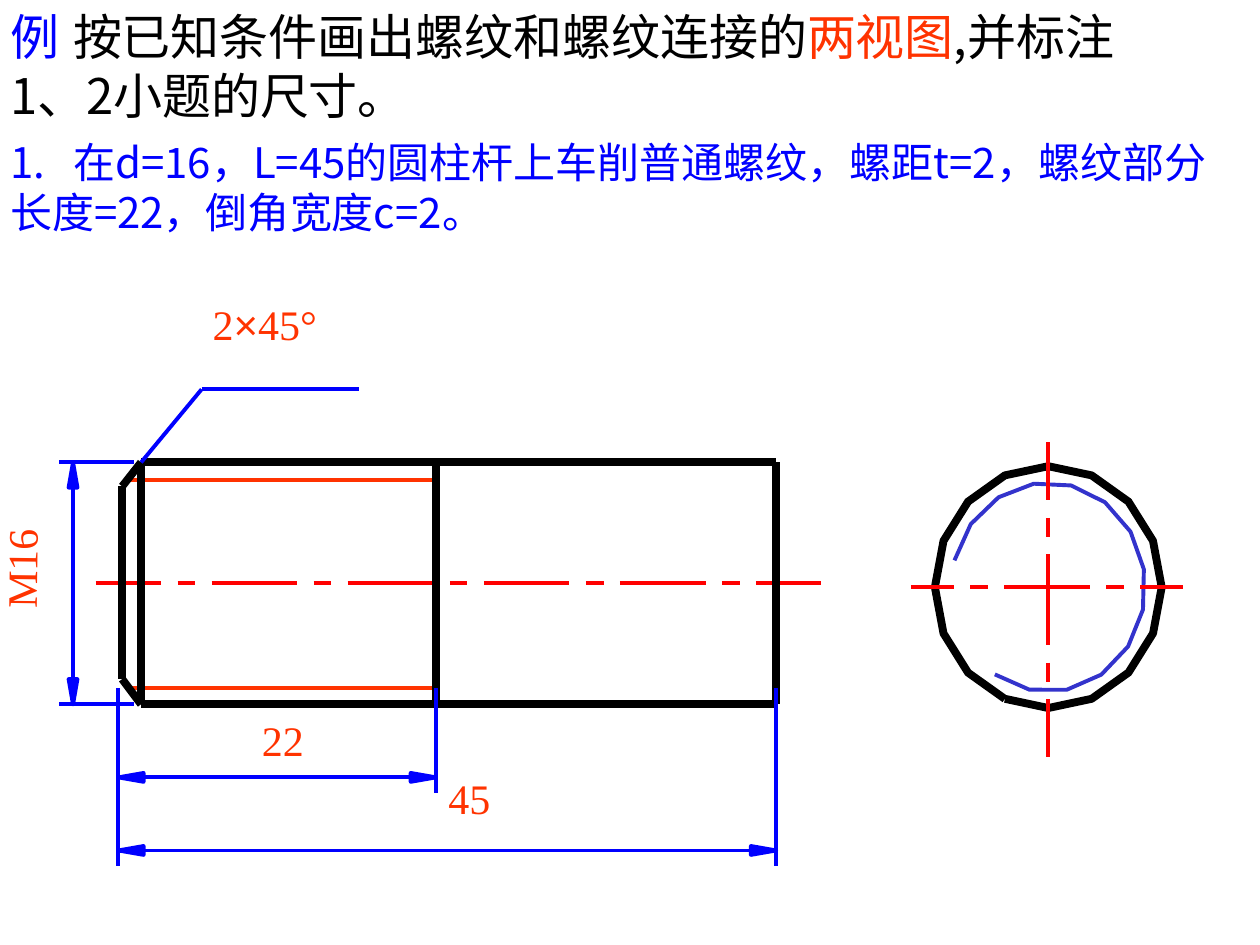
from dataclasses import dataclass
from math import cos, radians, sin
from typing import NamedTuple

from lxml.etree import SubElement
from pptx import Presentation
from pptx.dml.color import RGBColor
from pptx.enum.shapes import MSO_CONNECTOR as Connector
from pptx.enum.text import MSO_ANCHOR as Anchor, MSO_AUTO_SIZE as AutoSize, PP_ALIGN as Align
from pptx.oxml.ns import qn
from pptx.util import Inches, Pt

BLACK = RGBColor(0x00, 0x00, 0x00)
BLUE = RGBColor(0x00, 0x00, 0xFF)
RED = RGBColor(0xFF, 0x00, 0x00)
ORANGE = RGBColor(0xFF, 0x33, 0x00)
INDIGO = RGBColor(0x33, 0x33, 0xCC)
THIN, THICK = 2.25, 4.5
CHINESE, SERIF, SANS = "Noto Sans CJK SC", "Times New Roman", "Arial"

TIP, CHAMFER, THREAD_END, SHAFT_END = 0.97, 1.12, 3.46, 6.16
TOP, BOTTOM = 3.67, 5.59
DIM_LEFT, DIM_SIDE = 0.94, 0.58
HEAD_LENGTH, HEAD_HALF = 0.2, 0.035

Point = tuple[float, float]


class Span(NamedTuple):
    text: str
    color: RGBColor
    font: str = CHINESE


@dataclass
class Stroke:
    start: Point
    end: Point
    color: RGBColor = BLUE
    width: float = THIN


@dataclass
class Arc:
    center: Point
    radii: Point
    first: float
    step: float
    count: int
    color: RGBColor
    width: float

    def points(self) -> list[Point]:
        angles = [radians(self.first + self.step * i) for i in range(self.count)]
        return [(self.center[0] + self.radii[0] * cos(a),
                 self.center[1] - self.radii[1] * sin(a)) for a in angles]


@dataclass
class Label:
    spans: list[Span]
    left: float
    top: float
    width: float
    rotation: float = 0


def apply(target, values: dict) -> None:
    for name, value in values.items():
        setattr(target, name, value)


def draw_stroke(page, stroke: Stroke) -> None:
    ends = [Inches(v) for v in (*stroke.start, *stroke.end)]
    line = page.shapes.add_connector(Connector.STRAIGHT, *ends)
    line.line.color.rgb = stroke.color
    line.line.width = Pt(stroke.width)
    SubElement(line._element.spPr, qn("a:effectLst"))


def draw_outline(page, points: list[Point], color: RGBColor, width: float, solid: bool):
    corners = [(Inches(x), Inches(y)) for x, y in points]
    builder = page.shapes.build_freeform(*corners[0])
    builder.add_line_segments(corners[1:], close=solid)
    outline = builder.convert_to_shape()
    outline.shadow.inherit = False
    if solid:
        outline.fill.solid()
        outline.fill.fore_color.rgb = color
    else:
        outline.fill.background()
    outline.line.color.rgb = color
    outline.line.width = Pt(width)


def draw_center_line(page, start: Point, dashes: list[float], gap: float, upright: bool) -> None:
    x, y = start
    for dash in dashes:
        end = (x, y + dash) if upright else (x + dash, y)
        draw_stroke(page, Stroke((x, y), end, RED))
        x, y = (x, end[1] + gap) if upright else (end[0] + gap, y)


def draw_dimension(page, start: Point, end: Point) -> None:
    upright = start[0] == end[0]
    inner = []
    for (x, y), way in ((start, 1), (end, -1)):
        reach = way * HEAD_LENGTH
        base = (x, y + reach) if upright else (x + reach, y)
        dx, dy = (HEAD_HALF, 0) if upright else (0, HEAD_HALF)
        head = [(base[0] - dx, base[1] - dy), (base[0] + dx, base[1] + dy), (x, y)]
        draw_outline(page, head, BLUE, THIN, True)
        inner.append(base)
    draw_stroke(page, Stroke(*inner))


def write(para, spans: list[Span], size: float) -> None:
    for part in spans:
        span = para.add_run()
        span.text = part.text
        apply(span.font, {"name": part.font, "size": Pt(size), "bold": False})
        span.font.color.rgb = part.color
        SubElement(span._r.get_or_add_rPr(), qn("a:ea"), typeface=part.font)


def draw_label(page, label: Label) -> None:
    box = page.shapes.add_textbox(
        Inches(label.left), Inches(label.top), Inches(label.width), Inches(0.5))
    box.rotation = label.rotation
    apply(box.text_frame, {"word_wrap": False, "auto_size": AutoSize.SHAPE_TO_FIT_TEXT})
    write(box.text_frame.paragraphs[0], label.spans, 24)


def fill_placeholder(box, frame: tuple, spans: list[Span], size: float, tab: float) -> None:
    apply(box, dict(zip(("left", "top", "width", "height"), map(Inches, frame))))
    apply(box.text_frame, {"word_wrap": True, "auto_size": AutoSize.NONE,
                           "vertical_anchor": Anchor.TOP})
    para = box.text_frame.paragraphs[0]
    apply(para, {"alignment": Align.LEFT, "space_before": Pt(0)})
    settings = para._p.get_or_add_pPr()
    settings.set("marL", "0")
    settings.set("indent", "0")
    SubElement(settings, qn("a:buNone"))
    stops = SubElement(settings, qn("a:tabLst"))
    SubElement(stops, qn("a:tab"), pos=str(Inches(tab)), algn="l")
    write(para, spans, size)


SHAFT = [
    Stroke((SHAFT_END, BOTTOM), (CHAMFER, BOTTOM), BLACK, THICK),
    Stroke((CHAMFER, TOP), (SHAFT_END, TOP), BLACK, THICK),
    *[Stroke((THREAD_END, y), (1.02, y), ORANGE) for y in (3.81, 5.46)],
    Stroke((TIP, 3.86), (TIP, 5.39), BLACK, THICK),
    Stroke((TIP, 5.39), (CHAMFER, BOTTOM), BLACK, THICK),
    Stroke((CHAMFER, TOP), (TIP, 3.86), BLACK, THICK),
    *[Stroke((x, TOP), (x, BOTTOM), BLACK, THICK) for x in (CHAMFER, THREAD_END, SHAFT_END)],
]
GUIDES = [
    Stroke((1.6, 3.09), (2.85, 3.09)),
    Stroke((CHAMFER, TOP), (1.6, 3.09)),
    *[Stroke((1.06, y), (0.47, y)) for y in (BOTTOM, TOP)],
    *[Stroke((x, 5.46), (x, low)) for x, low in
      ((DIM_LEFT, 6.87), (THREAD_END, 6.29), (SHAFT_END, 6.87))],
]
ARCS = [
    Arc((8.32, 4.66), (0.77, 0.83), 236.6, 22.2, 14, INDIGO, THIN),
    Arc((8.32, 4.66), (0.9, 0.96), 0, 22.5, 12, BLACK, THICK),
    Arc((8.32, 4.66), (0.9, 0.96), 247.5, 22.5, 6, BLACK, THICK),
]
LABELS = [
    Label([Span("2", ORANGE, SERIF), Span("×", ORANGE, SANS), Span("45°", ORANGE, SERIF)],
          1.59, 2.32, 1.1),
    Label([Span("M16", ORANGE, SERIF)], -0.25, 4.26, 0.83, 270.7),
    Label([Span("22", ORANGE, SERIF)], 1.98, 5.62, 0.53),
    Label([Span("45", ORANGE, SERIF)], 3.46, 6.08, 0.53),
]
TITLE = [
    Span("例\t", BLUE),
    Span("按已知条件画出螺纹和螺纹连接的", BLACK),
    Span("两视图", ORANGE),
    Span(",并标注1、2小题的尺寸。", BLACK),
]
TASK = [Span("1.\t在d=16，L=45的圆柱杆上车削普通螺纹，螺距t=2，"
             "螺纹部分长度=22，倒角宽度c=2。", BLUE)]


def main() -> None:
    deck = Presentation()
    apply(deck, {"slide_width": Inches(10), "slide_height": Inches(7.5)})
    page = deck.slides.add_slide(deck.slide_layouts[1])
    fill_placeholder(page.shapes.title, (-0.02, 0, 9.05, 1.04), TITLE, 28, 0.57)
    fill_placeholder(page.placeholders[1], (-0.02, 1.03, 10, 0.9), TASK, 24, 0.51)

    draw_center_line(page, (0.76, 4.63), [0.52, *[0.14, 0.68] * 4, 0.14, 0.52], 0.13, False)
    for stroke in SHAFT:
        draw_stroke(page, stroke)
    for arc in ARCS:
        draw_outline(page, arc.points(), arc.color, arc.width, False)
    draw_center_line(page, (8.32, 3.51), [0.46, 0.15, 0.72, 0.15, 0.46], 0.14, True)
    draw_center_line(page, (7.23, 4.66), [0.34, 0.14, 0.68, 0.14, 0.34], 0.13, False)
    for stroke in GUIDES:
        draw_stroke(page, stroke)
    draw_dimension(page, (DIM_SIDE, TOP), (DIM_SIDE, BOTTOM))
    draw_dimension(page, (DIM_LEFT, 6.17), (THREAD_END, 6.17))
    draw_dimension(page, (DIM_LEFT, 6.75), (SHAFT_END, 6.75))
    for label in LABELS:
        draw_label(page, label)
    deck.save("out.pptx")


if __name__ == "__main__":
    main()
